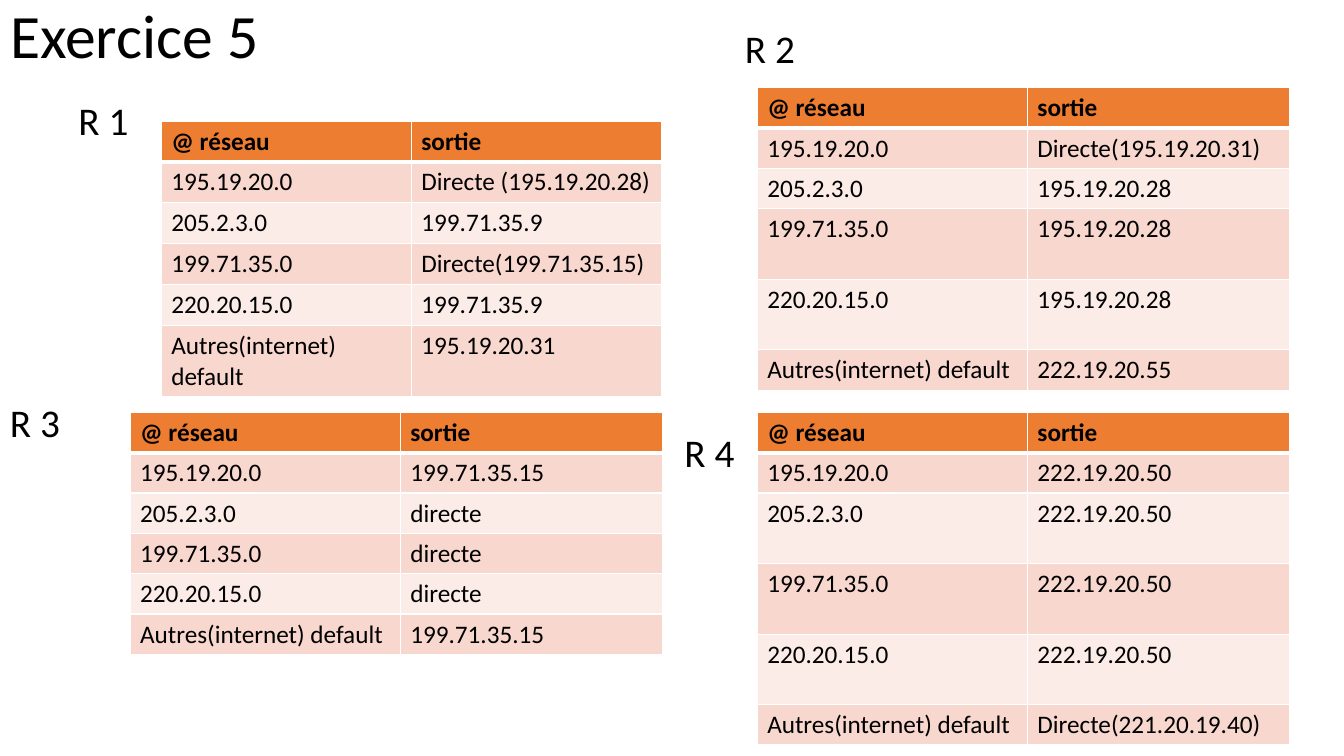
from pptx import Presentation
from pptx.dml.color import RGBColor
from pptx.enum.text import MSO_ANCHOR, MSO_AUTO_SIZE, PP_ALIGN
from pptx.oxml import parse_xml
from pptx.oxml.ns import nsdecls
from pptx.util import Pt

PX = 9144  # EMU; 100 px to the inch
THEME = {
    "face": "Calibri", "text": "000000", "rule": "FFFFFF",
    "head": "ED7D31", "bands": ("F8D7CE", "FCECE8"),
    "title": 44, "label": 28, "cell": 18,
}
LOW, TALL = 40, 70
HEAD = ("@ réseau", "sortie")
NETS = ("195.19.20.0", "205.2.3.0", "199.71.35.0", "220.20.15.0",
        "Autres(internet) default")
WIDE = (268, 260)

# label, label spot, table spot, column widths, tall rows, exits
ROUTERS = (
    ("R 1", (68, 91), (160, 120), (248, 248), (5,),
     ("Directe (195.19.20.28)", "199.71.35.9", "Directe(199.71.35.15)",
      "199.71.35.9", "195.19.20.31")),
    ("R 2", (729, 19), (751, 87), WIDE, (3, 4),
     ("Directe(195.19.20.31)", "195.19.20.28", "195.19.20.28",
      "195.19.20.28", "222.19.20.55")),
    ("R 3", (0, 390), (129, 409), WIDE, (),
     ("199.71.35.15", "directe", "directe", "directe", "199.71.35.15")),
    ("R 4", (669, 420), (751, 409), WIDE, (2, 3, 4),
     ("222.19.20.50", "222.19.20.50", "222.19.20.50", "222.19.20.50",
      "Directe(221.20.19.40)")),
)


def write(frame, text, size, bold=False):
    frame.text = text
    font = frame.paragraphs[0].font
    look = {"name": THEME["face"], "size": Pt(THEME[size]), "bold": bold}
    for key, value in look.items():
        setattr(font, key, value)
    font.color.rgb = RGBColor.from_string(THEME["text"])


def edge(cell, row):
    """Draw white cell borders, thick between the header and the body."""
    thick = {0: "B", 1: "T"}.get(row)
    for spot, side in enumerate("LRTB"):
        width = Pt(3 if side == thick else 1)
        cell._tc.get_or_add_tcPr().insert(spot, parse_xml(
            f'<a:ln{side} {nsdecls("a")} w="{width}"><a:solidFill>'
            f'<a:srgbClr val="{THEME["rule"]}"/></a:solidFill></a:ln{side}>'))


deck = Presentation()
deck.slide_width, deck.slide_height = 1333 * PX, 750 * PX
slide = deck.slides.add_slide(deck.slide_layouts[5])

title = slide.shapes.title
place = {"left": 0, "top": -34, "width": 1150, "height": 145}
for key, value in place.items():
    setattr(title, key, value * PX)
write(title.text_frame, "Exercice 5", "title")
title.text_frame.auto_size = MSO_AUTO_SIZE.NONE
title.text_frame.vertical_anchor = MSO_ANCHOR.MIDDLE
line = title.text_frame.paragraphs[0]
line.alignment, line.line_spacing = PP_ALIGN.LEFT, 0.9

for name, spot, start, widths, tall, exits in ROUTERS:
    rows = (HEAD, *zip(NETS, exits))
    highs = [TALL if row in tall else LOW for row in range(len(rows))]
    box = [n * PX for n in (*start, sum(widths), sum(highs))]
    frame = slide.shapes.add_table(len(rows), len(HEAD), *box)
    frame.name = f"Table {name}"
    table = frame.table
    for col, width in zip(table.columns, widths):
        col.width = width * PX
    for row, texts in enumerate(rows):
        table.rows[row].height = highs[row] * PX
        fill = THEME["bands"][(row - 1) % 2] if row else THEME["head"]
        for col, text in enumerate(texts):
            cell = table.cell(row, col)
            write(cell.text_frame, text, "cell", bold=row == 0)
            cell.fill.solid()
            cell.fill.fore_color.rgb = RGBColor.from_string(fill)
            edge(cell, row)

    label = slide.shapes.add_textbox(*(n * PX for n in (*spot, 121, 57)))
    label.name = f"Label {name}"
    label.text_frame.word_wrap = True
    label.text_frame.auto_size = MSO_AUTO_SIZE.SHAPE_TO_FIT_TEXT
    write(label.text_frame, name, "label")

deck.save("out.pptx")
